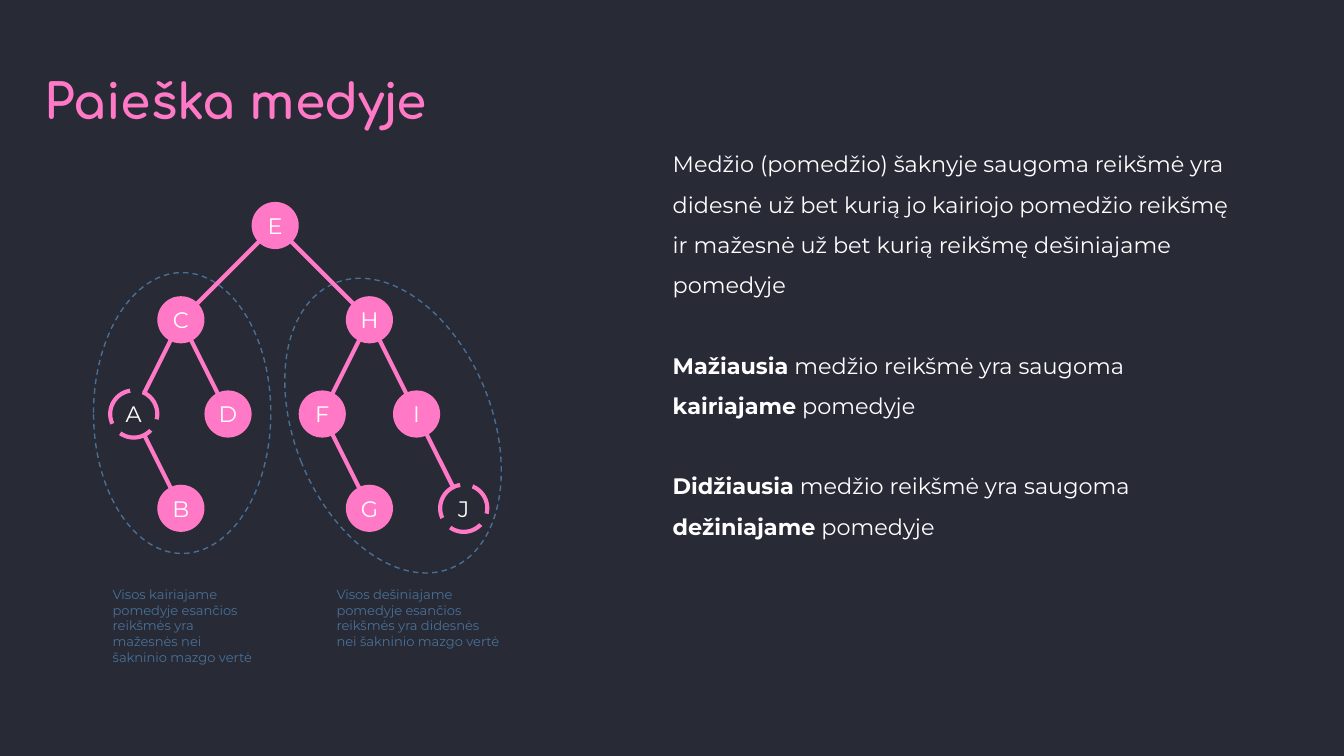
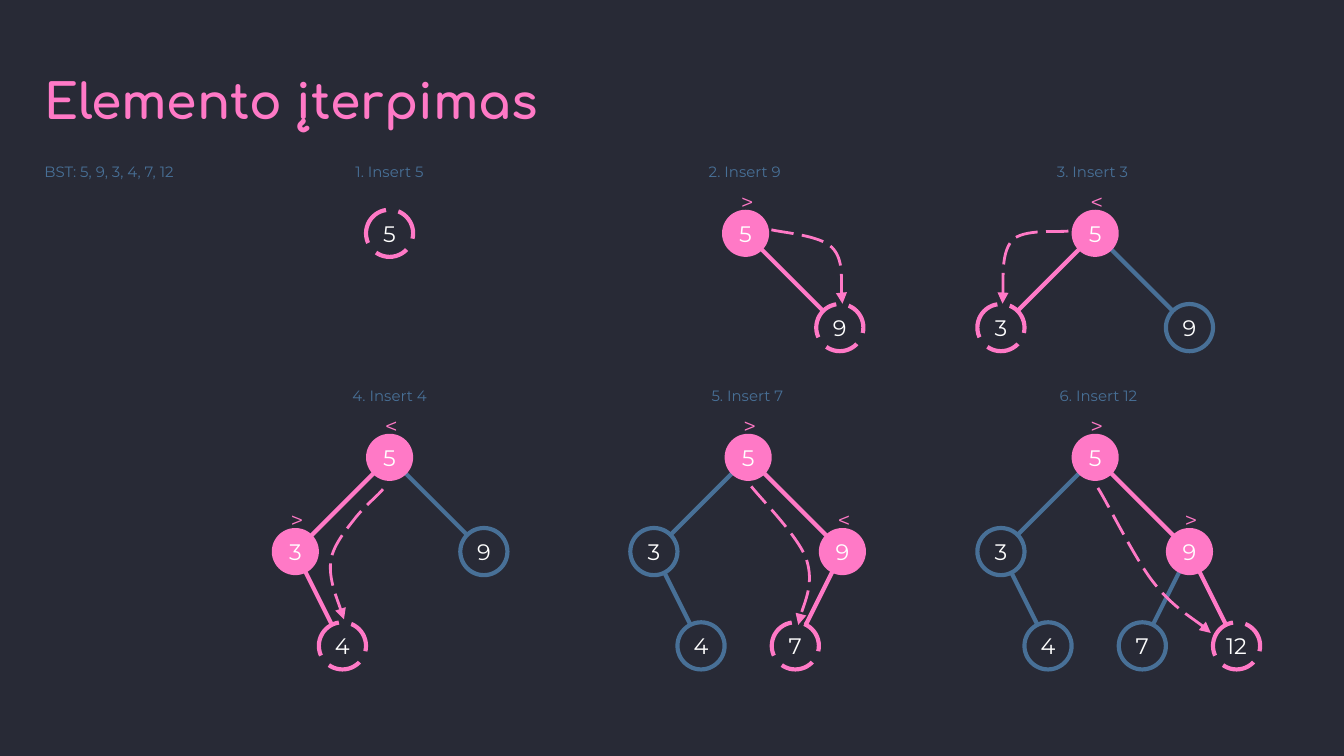
from dataclasses import dataclass

from lxml import etree
from pptx import Presentation
from pptx import util as u
from pptx.dml import color
from pptx.enum import dml, shapes, text
from pptx.oxml import ns

Pt = u.Pt


@dataclass(frozen=True)
class Theme:
    night: color.RGBColor = color.RGBColor(0x28, 0x2A, 0x36)
    pink: color.RGBColor = color.RGBColor(0xFF, 0x79, 0xC6)
    blue: color.RGBColor = color.RGBColor(0x48, 0x70, 0x97)
    white: color.RGBColor = color.RGBColor(0xFF, 0xFF, 0xFF)
    heading: str = "Comfortaa"
    sans: str = "Montserrat"
    title_size: float = 26
    body_size: float = 12
    caption_size: float = 8
    note_size: float = 7
    inset: float = 7.2
    node: float = 25.25
    column: float = 25.25
    level: float = 50.5


class Deck:
    def __init__(self, theme):
        self.theme = theme
        self.prs = Presentation()
        self.prs.slide_width, self.prs.slide_height = Pt(720), Pt(405)
        fill = self.prs.slide_master.background.fill
        fill.solid()
        fill.fore_color.rgb = theme.night
        self.slide = None

    def add_slide(self, layout, title):
        self.slide = self.prs.slides.add_slide(self.prs.slide_layouts[layout])
        heading = self.slide.shapes.title
        self.place(heading, 16.5, 15, 316, 41)
        frame = self.frame(heading)
        line = frame.paragraphs[0]
        line.alignment = text.PP_ALIGN.LEFT
        line.line_spacing = 1.5
        self.run(line, title, self.theme.title_size, self.theme.pink,
                 bold=True, font=self.theme.heading)

    def place(self, shape, left, top, width, height):
        shape.left, shape.top = Pt(left), Pt(top)
        shape.width, shape.height = Pt(width), Pt(height)

    def frame(self, shape, inset=None, anchor=text.MSO_ANCHOR.TOP,
              fit=text.MSO_AUTO_SIZE.NONE):
        frame = shape.text_frame
        margin = Pt(self.theme.inset if inset is None else inset)
        frame.margin_left = frame.margin_right = margin
        frame.margin_top = frame.margin_bottom = margin
        frame.word_wrap = True
        frame.auto_size = fit
        frame.vertical_anchor = anchor
        return frame

    def run(self, paragraph, words, size, ink, bold=False, font=None):
        run = paragraph.add_run()
        run.text = words
        run.font.name = font or self.theme.sans
        run.font.size = Pt(size)
        run.font.bold = bold
        run.font.color.rgb = ink

    def body(self, paragraphs, left, top, width, height):
        holder = self.slide.placeholders[1]
        self.place(holder, left, top, width, height)
        frame = self.frame(holder)
        for index, parts in enumerate(paragraphs):
            line = frame.add_paragraph() if index else frame.paragraphs[0]
            line.alignment = text.PP_ALIGN.LEFT
            line.line_spacing = 1.5
            line.space_before = Pt(21.5 if index else 0)
            props = line._p.get_or_add_pPr()
            props.set("marL", "0")
            props.set("indent", "0")
            etree.SubElement(props, ns.qn("a:buNone"))
            for words, bold in parts:
                self.run(line, words, self.theme.body_size,
                         self.theme.white, bold)

    def label(self, words, left, top, width, height, size, ink,
              align=text.PP_ALIGN.LEFT):
        box = self.slide.shapes.add_textbox(
            Pt(left), Pt(top), Pt(width), Pt(height))
        frame = self.frame(box, fit=text.MSO_AUTO_SIZE.SHAPE_TO_FIT_TEXT)
        line = frame.paragraphs[0]
        line.alignment = align
        self.run(line, words, size, ink)

    def stroke(self, line, ink, width, dash=None):
        line.color.rgb = ink
        line.width = Pt(width)
        if dash:
            line.dash_style = dash

    def oval(self, left, top, width, height):
        oval = self.slide.shapes.add_shape(
            shapes.MSO_SHAPE.OVAL, Pt(left), Pt(top), Pt(width), Pt(height))
        oval.shadow.inherit = False
        return oval

    def outline(self, left, top, width, height, rotation=0):
        oval = self.oval(left, top, width, height)
        oval.rotation = rotation
        oval.fill.background()
        self.stroke(oval.line, self.theme.blue, 0.75, dml.MSO_LINE.DASH)

    def edge(self, start, end, ink):
        edge = self.slide.shapes.add_connector(
            shapes.MSO_CONNECTOR.STRAIGHT, *map(Pt, (*start, *end)))
        self.stroke(edge.line, ink, 2.25)
        etree.SubElement(edge.element.spPr, ns.qn("a:effectLst"))

    def node(self, value, centre, state):
        side = self.theme.node
        oval = self.oval(centre[0] - side / 2, centre[1] - side / 2, side, side)
        oval.fill.solid()
        if state == "visited":
            oval.fill.fore_color.rgb = self.theme.pink
            oval.line.fill.background()
        else:
            oval.fill.fore_color.rgb = self.theme.night
            if state == "new":
                self.stroke(oval.line, self.theme.pink, 2.25,
                            dml.MSO_LINE.LONG_DASH)
            else:
                self.stroke(oval.line, self.theme.blue, 2.25)
        line = self.frame(oval, 0, text.MSO_ANCHOR.MIDDLE).paragraphs[0]
        line.alignment = text.PP_ALIGN.CENTER
        self.run(line, str(value), self.theme.body_size, self.theme.white)

    def tree(self, root, places, parents, states):
        centres = {
            value: (root[0] + places[value][0] * self.theme.column,
                    root[1] + places[value][1] * self.theme.level)
            for value in states
        }
        for value, parent in parents.items():
            if value in states:
                active = "rest" not in (states[value], states[parent])
                self.edge(centres[parent], centres[value],
                          self.theme.pink if active else self.theme.blue)
        for value, state in states.items():
            self.node(value, centres[value], state)
        return centres

    def curved_arrow(self, points):
        start, *track = [(Pt(x), Pt(y)) for x, y in points]
        builder = self.slide.shapes.build_freeform(*start)
        builder.add_line_segments(track, close=False)
        arrow = builder.convert_to_shape()
        arrow.shadow.inherit = False
        arrow.fill.background()
        self.stroke(arrow.line, self.theme.pink, 1.5, dml.MSO_LINE.LONG_DASH)
        props = arrow.element.spPr
        etree.SubElement(props.find(ns.qn("a:ln")), ns.qn("a:tailEnd"),
                         type="triangle")
        segments = list(props.iter(ns.qn("a:lnTo")))
        outline = segments[0].getparent()
        for first in range(0, len(segments), 3):
            curve = etree.SubElement(outline, ns.qn("a:cubicBezTo"))
            for segment in segments[first:first + 3]:
                curve.append(segment[0])
                outline.remove(segment)


LETTER_PLACES = {
    "E": (0, 0), "C": (-2, 1), "H": (2, 1), "A": (-3, 2), "D": (-1, 2),
    "F": (1, 2), "I": (3, 2), "B": (-2, 3), "G": (2, 3), "J": (4, 3),
}
LETTER_LINES = {"D": "C", "C": "E", "H": "E", "F": "H",
                "J": "H", "G": "F", "B": "A", "A": "C"}

INSERTED = [5, 9, 3, 4, 7, 12]
NUMBER_PLACES = {5: (0, 0), 9: (2, 1), 3: (-2, 1),
                 4: (-1, 2), 7: (1, 2), 12: (3, 2)}
NUMBER_PARENTS = {9: 5, 3: 5, 4: 3, 7: 9, 12: 9}
ROOTS = [(208.7, 125), (399.4, 125), (586.7, 125),
         (208.7, 245), (400.8, 245), (586.7, 245)]
CAPTION_SHIFTS = [0, -0.4, -1.4, 0, -0.4, 1.8]
SEARCH_PATHS = {
    9: [(413.3, 123.1), (419, 124.6), (439.2, 126), (445.7, 132.5),
        (452.2, 139), (450, 157.7), (451.4, 162.7)],
    3: [(572.4, 123.8), (567.4, 124.6), (547.9, 122.4), (542.2, 128.9),
        (536.4, 135.4), (537.8, 157), (537.1, 162.7)],
    4: [(205.2, 262.1), (203, 265), (195.1, 271.4), (190.1, 277.9),
        (185, 284.4), (177.8, 293), (177.1, 301.7),
        (176.4, 311), (182.9, 326.9), (184.3, 331.9)],
    7: [(402.5, 260.6), (407.5, 267.1), (427.7, 287.3), (432, 299.5),
        (436.3, 312.5), (428.4, 329), (427.7, 334.8)],
    12: [(588.2, 261.4), (593.3, 269.3), (607.7, 298.8), (617.8, 311.8),
         (627.8, 324.7), (643.7, 334.1), (648.7, 339.1)],
}


def add_search(deck):
    theme = deck.theme
    deck.add_slide(1, "Paieška medyje")
    deck.outline(157.7, 145.6, 105.8, 164.9, 337.9)
    deck.outline(50.1, 146, 95, 150.5)
    states = {letter: "new" if letter in "AJ" else "visited"
              for letter in LETTER_PLACES}
    deck.tree((147.4, 120.8), LETTER_PLACES, LETTER_LINES, states)
    deck.body([
        [("Medžio (pomedžio) šaknyje saugoma reikšmė yra didesnė už bet kurią "
          "jo kairiojo pomedžio reikšmę ir mažesnė už bet kurią reikšmę "
          "dešiniajame pomedyje", False)],
        [("Mažiausia", True), (" medžio reikšmė yra saugoma ", False),
         ("kairiajame", True), (" pomedyje", False)],
        [("Didžiausia", True), (" medžio reikšmė yra saugoma ", False),
         ("dežiniajame", True), (" pomedyje", False)],
    ], 353.2, 66.2, 321, 326)
    for side, order, left, width, height in (
            ("kairiajame", "mažesnės", 53.3, 91.5, 57),
            ("dešiniajame", "didesnės", 173.2, 102.2, 48)):
        deck.label(f"Visos {side} pomedyje esančios reikšmės yra {order} "
                   "nei šakninio mazgo vertė",
                   left, 307, width, height, theme.note_size, theme.blue)


def add_insertion(deck):
    theme = deck.theme
    deck.add_slide(5, "Elemento įterpimas")
    deck.label("BST: " + ", ".join(map(str, INSERTED)),
               16.7, 82.4, 91.5, 24.5, theme.caption_size, theme.blue)
    for step, (new, root, shift) in enumerate(
            zip(INSERTED, ROOTS, CAPTION_SHIFTS), 1):
        states = dict.fromkeys(INSERTED[:step], "rest")
        states[new] = "new"
        visited = NUMBER_PARENTS.get(new)
        while visited:
            states[visited] = "visited"
            visited = NUMBER_PARENTS.get(visited)
        centres = deck.tree(root, NUMBER_PLACES, NUMBER_PARENTS, states)
        deck.label(f"{step}. Insert {new}", root[0] + shift - 30,
                   root[1] - 42.6, 60, 24.5, theme.caption_size, theme.blue,
                   text.PP_ALIGN.CENTER)
        for value, (x, y) in centres.items():
            if states[value] == "visited":
                deck.label("<" if new < value else ">", x - 9.6, y - 31.5,
                           19.5, 29, theme.body_size, theme.pink)
        if new in SEARCH_PATHS:
            deck.curved_arrow(SEARCH_PATHS[new])


def main():
    deck = Deck(Theme())
    add_search(deck)
    add_insertion(deck)
    deck.prs.save("out.pptx")


if __name__ == "__main__":
    main()
